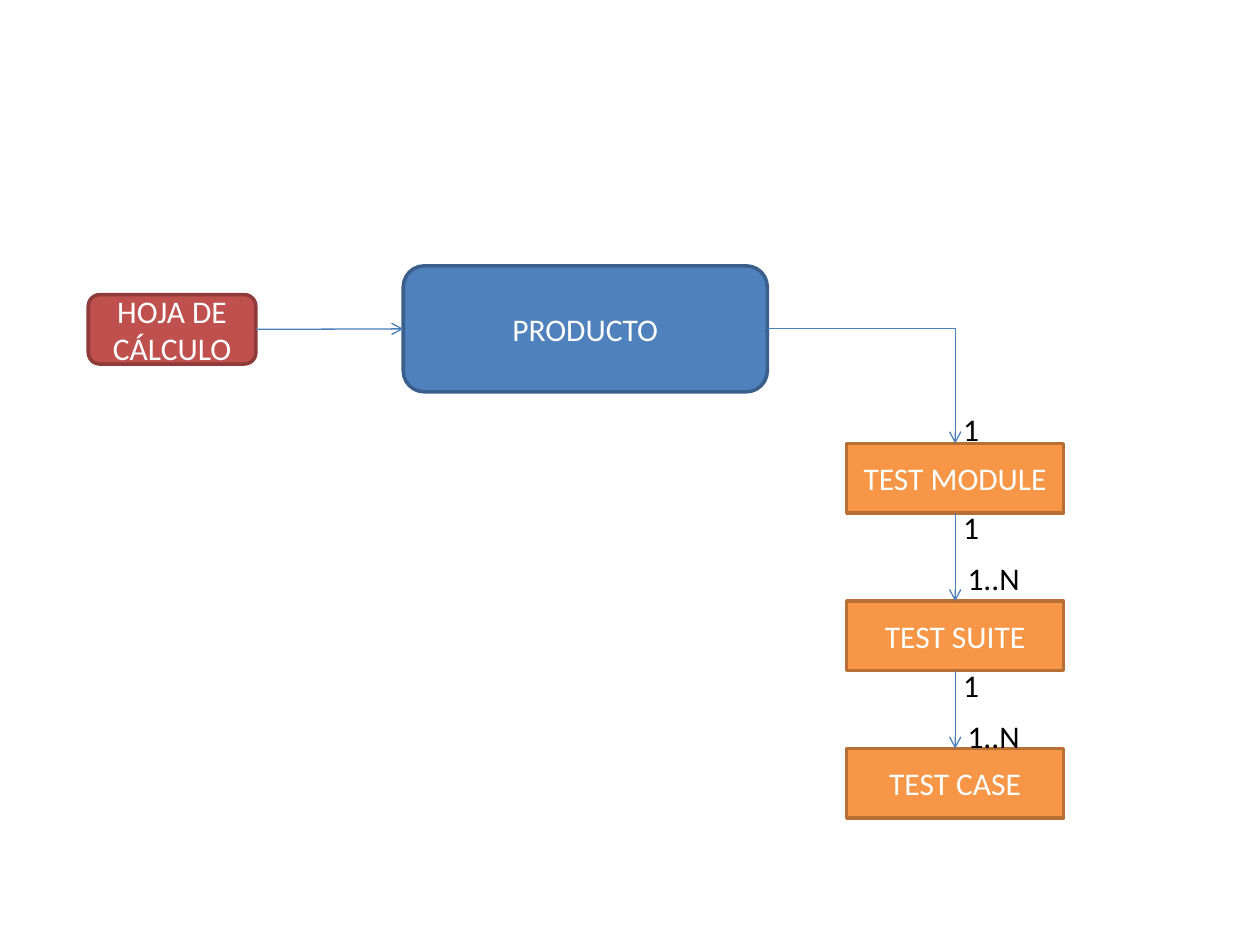
from dataclasses import dataclass

from lxml import etree
from pptx import Presentation
from pptx.dml.color import RGBColor
from pptx.enum.shapes import MSO_CONNECTOR, MSO_SHAPE
from pptx.enum.text import MSO_ANCHOR, MSO_AUTO_SIZE, PP_ALIGN
from pptx.oxml.ns import qn
from pptx.util import Cm, Pt

RECT, ROUNDED = MSO_SHAPE.RECTANGLE, MSO_SHAPE.ROUNDED_RECTANGLE
STRAIGHT, ELBOW = MSO_CONNECTOR.STRAIGHT, MSO_CONNECTOR.ELBOW
MIDDLE, CENTER, LEFT = MSO_ANCHOR.MIDDLE, PP_ALIGN.CENTER, PP_ALIGN.LEFT
FIT_SHAPE = MSO_AUTO_SIZE.SHAPE_TO_FIT_TEXT
SIDE_TOP, SIDE_LEFT, SIDE_BOTTOM, SIDE_RIGHT = range(4)


@dataclass(frozen=True)
class Theme:
    font: str = "Calibri"
    size: int = 18
    box_line: float = 2
    arrow_line: float = 0.75
    light: str = "FFFFFF"
    dark: str = "000000"
    arrow: str = "4B7EBC"
    blue: tuple = ("4F81BD", "3A5F8C")
    red: tuple = ("C0504D", "8E3B39")
    orange: tuple = ("F79646", "B76F34")


@dataclass(frozen=True)
class Box:
    text: str
    left: float
    top: float
    width: float
    height: float
    colors: tuple
    kind: int = RECT


THEME = Theme()
TEST_LEFT, TEST_WIDTH, TEST_HEIGHT = 17.07, 4.37, 1.4
LABEL_LEFT = TEST_LEFT + TEST_WIDTH / 2
LABEL_HEIGHT = 1.02
LABEL_WIDTHS = {"1": 0.41, "1..N": 1.6}


def write(tf, text: str, color: str, align) -> None:
    p = tf.paragraphs[0]
    p.text, p.alignment = text, align
    p.font.name, p.font.size = THEME.font, Pt(THEME.size)
    p.font.color.rgb = RGBColor.from_string(color)


def add_box(slide, box: Box):
    sp = slide.shapes.add_shape(box.kind, Cm(box.left), Cm(box.top),
                                Cm(box.width), Cm(box.height))
    fill, line = box.colors
    sp.shadow.inherit = False
    sp.fill.solid()
    sp.fill.fore_color.rgb = RGBColor.from_string(fill)
    sp.line.color.rgb = RGBColor.from_string(line)
    sp.line.width = Pt(THEME.box_line)
    sp.text_frame.word_wrap = True
    sp.text_frame.vertical_anchor = MIDDLE
    write(sp.text_frame, box.text, THEME.light, CENTER)
    return sp


def add_label(slide, text: str, top: float) -> None:
    sp = slide.shapes.add_textbox(Cm(LABEL_LEFT), Cm(top),
                                  Cm(LABEL_WIDTHS[text]), Cm(LABEL_HEIGHT))
    sp.text_frame.word_wrap = True
    sp.text_frame.auto_size = FIT_SHAPE
    write(sp.text_frame, text, THEME.dark, LEFT)


def add_arrow(slide, start, start_side: int, end, end_side: int, kind=STRAIGHT) -> None:
    cxn = slide.shapes.add_connector(kind, 0, 0, 0, 0)
    cxn.begin_connect(start, start_side)
    cxn.end_connect(end, end_side)
    cxn.line.color.rgb = RGBColor.from_string(THEME.arrow)
    cxn.line.width = Pt(THEME.arrow_line)
    sp_pr = cxn._element.spPr
    if kind == ELBOW:
        # One corner only
        sp_pr.find(qn("a:prstGeom")).set("prst", "bentConnector2")
    etree.SubElement(sp_pr.find(qn("a:ln")), qn("a:tailEnd"), type="arrow")
    etree.SubElement(sp_pr, qn("a:effectLst"))


prs = Presentation()
prs.slide_width, prs.slide_height = Cm(25.4), Cm(19.05)
slide = prs.slides.add_slide(prs.slide_layouts[6])

# Boxes
product = add_box(slide, Box("PRODUCTO", 8.13, 5.36, 7.34, 2.54, THEME.blue, ROUNDED))
sheet = add_box(slide, Box("HOJA DE CÁLCULO", 1.78, 5.94, 3.38, 1.4, THEME.red, ROUNDED))
test_boxes = [Box(text, TEST_LEFT, top, TEST_WIDTH, TEST_HEIGHT, THEME.orange)
              for text, top in (("TEST MODULE", 8.94), ("TEST SUITE", 12.12),
                                ("TEST CASE", 15.09))]
tests = [add_box(slide, box) for box in test_boxes]

# Arrows
add_arrow(slide, sheet, SIDE_RIGHT, product, SIDE_LEFT)
add_arrow(slide, product, SIDE_RIGHT, tests[0], SIDE_TOP, ELBOW)
for upper, lower in zip(tests, tests[1:]):
    add_arrow(slide, upper, SIDE_BOTTOM, lower, SIDE_TOP)

# Multiplicities
add_label(slide, "1", test_boxes[0].top - 0.8)
for box in test_boxes[:-1]:
    top = box.top + box.height - 0.22
    add_label(slide, "1", top)
    add_label(slide, "1..N", top + LABEL_HEIGHT)

prs.save("out.pptx")
